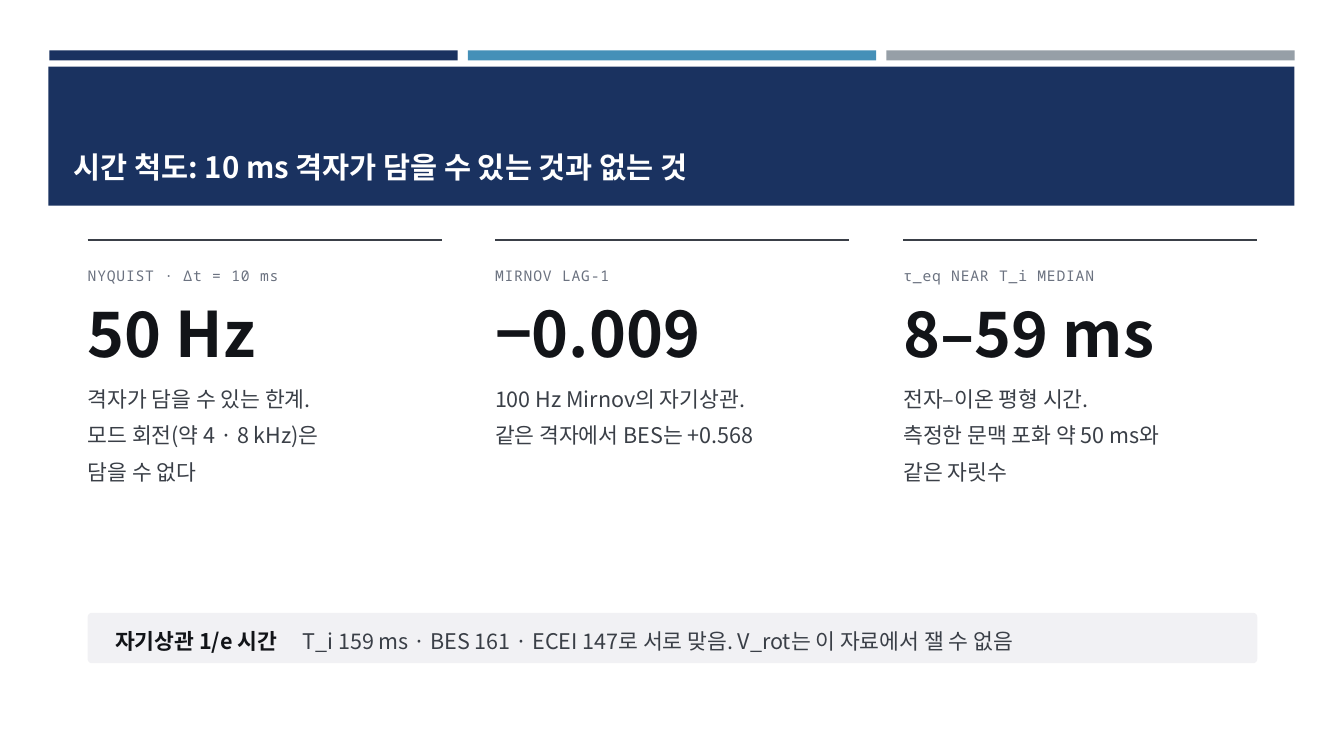
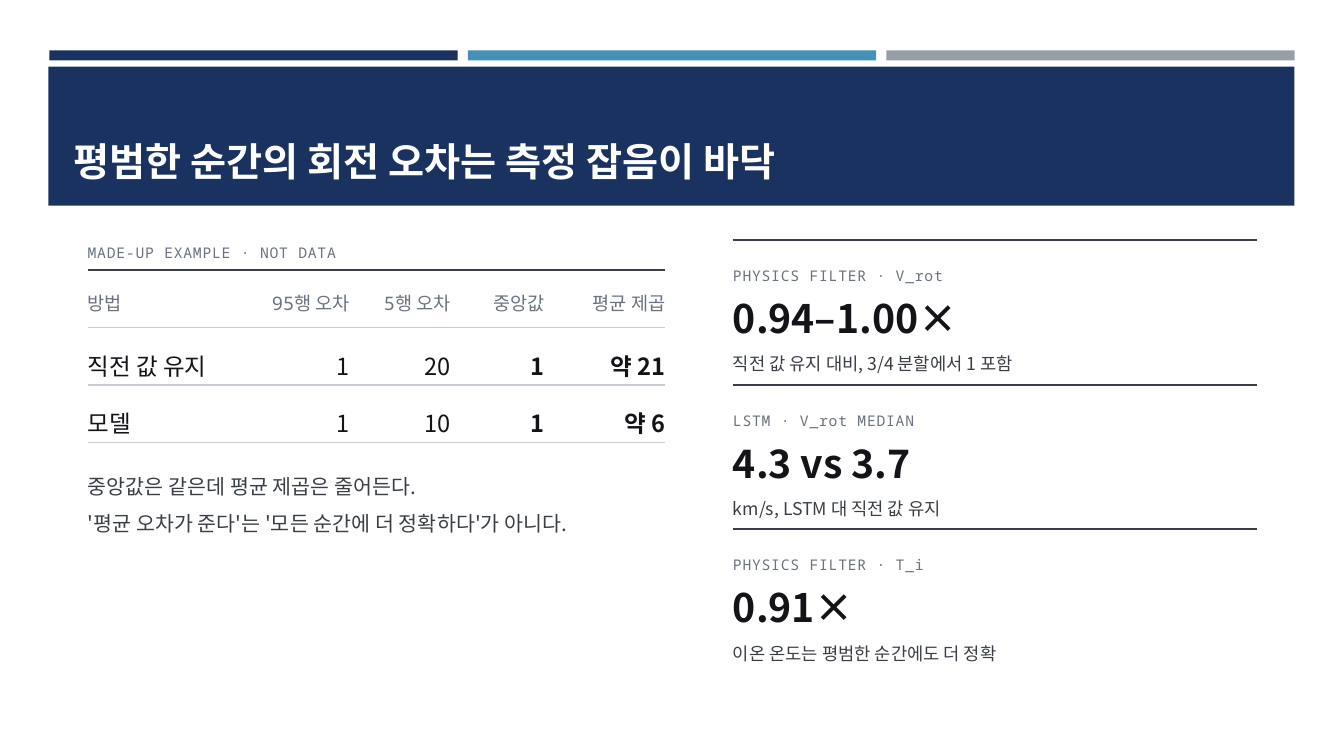
from dataclasses import dataclass
from typing import Any

import pptx
import pptx.dml.color
import pptx.enum.shapes
import pptx.enum.text
import pptx.oxml
import pptx.oxml.ns
import pptx.util
from lxml import etree

PX = 9144  # EMU per px: 100 px to the inch
SANS, MONO = "Noto Sans CJK KR", "Noto Sans Mono"
NAVY, BLUE, GREY, WHITE = "1A3260", "4590B8", "969FA7", "FFFFFF"
INK, BODY, MUTED, RULE, PANEL = "121418", "3A3F47", "6B7280", "C9CDD3", "F1F1F4"
LEFT, CONTENT_WIDTH, CONTENT_TOP = 87, 1160, 238

SHAPES = pptx.enum.shapes.MSO_SHAPE
ANCHOR = pptx.enum.text.MSO_ANCHOR
ALIGN = pptx.enum.text.PP_ALIGN


@dataclass(frozen=True)
class TextStyle:
    size: float
    color: str
    face: str = SANS
    bold: bool = False
    line_spacing: float | None = None
    tracking: int = 0


@dataclass(frozen=True)
class Box:
    left: int
    top: int
    width: int
    height: int

    def emu(self) -> list[int]:
        return [value * PX for value in (self.left, self.top, self.width, self.height)]


@dataclass(frozen=True)
class Stat:
    label: str
    figure: str
    lines: tuple[str, ...]


LABEL = TextStyle(10.5, MUTED, MONO, line_spacing=1.25, tracking=60)
HEADER = TextStyle(13.3, MUTED, MONO, line_spacing=1.25)
CELL = TextStyle(16.8, INK, line_spacing=1.25)
CELL_BOLD = TextStyle(16.8, INK, bold=True, line_spacing=1.25)
NOTE = TextStyle(14.7, BODY, line_spacing=1.5)
STRIP_HEAD = TextStyle(15.4, INK, bold=True, line_spacing=1.25)
STRIP_BODY = TextStyle(15.4, BODY, line_spacing=1.25)

TIME_STATS = (
    Stat("NYQUIST · Δt = 10 ms", "50 Hz",
         ("격자가 담을 수 있는 한계.", "모드 회전(약 4 · 8 kHz)은", "담을 수 없다")),
    Stat("MIRNOV LAG-1", "−0.009",
         ("100 Hz Mirnov의 자기상관.", "같은 격자에서 BES는 +0.568")),
    Stat("τ_eq NEAR T_i MEDIAN", "8–59 ms",
         ("전자–이온 평형 시간.", "측정한 문맥 포화 약 50 ms와", "같은 자릿수")),
)
ERROR_STATS = (
    Stat("PHYSICS FILTER · V_rot", "0.94–1.00×", ("직전 값 유지 대비, 3/4 분할에서 1 포함",)),
    Stat("LSTM · V_rot MEDIAN", "4.3 vs 3.7", ("km/s, LSTM 대 직전 값 유지",)),
    Stat("PHYSICS FILTER · T_i", "0.91×", ("이온 온도는 평범한 순간에도 더 정확",)),
)
COLUMN_WIDTHS = (160, 100, 100, 93, 120)
TABLE_ROWS = (
    ("방법", "95행 오차", "5행 오차", "중앙값", "평균 제곱"),
    ("직전 값 유지", "1", "20", "1", "약 21"),
    ("모델", "1", "10", "1", "약 6"),
)


# Formatting helpers
def rgb(color: str) -> pptx.dml.color.RGBColor:
    return pptx.dml.color.RGBColor.from_string(color)


def apply(target: Any, values: dict[str, Any]) -> None:
    for name, value in values.items():
        setattr(target, name, value)


def add_run(paragraph: Any, text: str, style: TextStyle) -> None:
    run = paragraph.add_run()
    run.text = text
    apply(run.font, {"size": pptx.util.Pt(style.size), "bold": style.bold, "name": style.face})
    run.font.color.rgb = rgb(style.color)
    properties = run.font._element
    if style.tracking:
        properties.set("spc", str(style.tracking))
    east_asian = etree.Element(pptx.oxml.ns.qn("a:ea"), typeface=SANS)
    properties.find(pptx.oxml.ns.qn("a:latin")).addnext(east_asian)
    if style.line_spacing:
        paragraph.line_spacing = style.line_spacing


def clear_margins(target: Any) -> None:
    apply(target, dict.fromkeys(("margin_left", "margin_top", "margin_right", "margin_bottom"), 0))


# Drawing helpers
def add_text(slide: Any, box: Box, lines: tuple[str, ...], style: TextStyle) -> None:
    frame = slide.shapes.add_textbox(*box.emu()).text_frame
    clear_margins(frame)
    frame.word_wrap = True
    for index, line in enumerate(lines):
        paragraph = frame.add_paragraph() if index else frame.paragraphs[0]
        add_run(paragraph, line, style)


def add_panel(slide: Any, kind: Any, box: Box, color: str) -> Any:
    shape = slide.shapes.add_shape(kind, *box.emu())
    shape.shadow.inherit = False
    shape.fill.solid()
    shape.fill.fore_color.rgb = rgb(color)
    shape.line.fill.background()
    return shape


def add_rule(slide: Any, left: int, top: int, width: int) -> None:
    rule = slide.shapes.add_connector(
        pptx.enum.shapes.MSO_CONNECTOR.STRAIGHT,
        left * PX, top * PX, (left + width) * PX, top * PX)
    rule.line.color.rgb = rgb(BODY)
    rule.line.width = pptx.util.Pt(1.25)
    etree.SubElement(rule._element.spPr, pptx.oxml.ns.qn("a:effectLst"))


def add_stat(slide: Any, stat: Stat, left: int, top: int, width: int,
             figure_size: float, text_size: float, text_offset: int) -> None:
    add_rule(slide, left, top, width)
    add_text(slide, Box(left, top + 22, width, 23), (stat.label,), LABEL)
    add_text(slide, Box(left, top + 54, width, 87), (stat.figure,),
             TextStyle(figure_size, INK, bold=True))
    add_text(slide, Box(left, top + text_offset, width, 120), stat.lines,
             TextStyle(text_size, BODY, line_spacing=1.4))


def set_borders(cell: Any, top: str, bottom: str) -> None:
    cell.fill.background()
    edges = (("lnL", None), ("lnR", None), ("lnT", top), ("lnB", bottom))
    for position, (edge, color) in enumerate(edges):
        width = pptx.util.Pt(1.25 if color == BODY else 1)
        fill = (f'<a:solidFill><a:srgbClr val="{color}"/></a:solidFill>'
                if color else "<a:noFill/>")
        border = pptx.oxml.parse_xml(
            f'<a:{edge} {pptx.oxml.ns.nsdecls("a")} w="{int(width)}">{fill}</a:{edge}>')
        cell._tc.get_or_add_tcPr().insert(position, border)


def add_error_table(slide: Any, left: int, top: int) -> None:
    row_height = 57
    box = Box(left, top, sum(COLUMN_WIDTHS), row_height * len(TABLE_ROWS))
    table = slide.shapes.add_table(len(TABLE_ROWS), len(COLUMN_WIDTHS), *box.emu()).table
    apply(table, {"first_row": False, "horz_banding": False})
    for column, width in zip(table.columns, COLUMN_WIDTHS):
        column.width = width * PX
    for row_index, values in enumerate(TABLE_ROWS):
        for column_index, value in enumerate(values):
            cell = table.cell(row_index, column_index)
            clear_margins(cell)
            apply(cell, {"margin_top": 12 * PX, "vertical_anchor": ANCHOR.TOP})
            set_borders(cell, RULE if row_index else BODY, RULE)
            paragraph = cell.text_frame.paragraphs[0]
            paragraph.alignment = ALIGN.RIGHT if column_index else ALIGN.LEFT
            body_style = CELL_BOLD if column_index > 2 else CELL
            add_run(paragraph, value, body_style if row_index else HEADER)


# Shared frame: three bars, the title band and the title
def add_framed_slide(presentation: Any, title: str, title_size: float) -> Any:
    slide = presentation.slides.add_slide(presentation.slide_layouts[5])
    for index, color in enumerate((NAVY, BLUE, GREY)):
        add_panel(slide, SHAPES.RECTANGLE, Box(49 + 415 * index, 50, 405, 10), color)
    add_panel(slide, SHAPES.RECTANGLE, Box(48, 66, 1236, 138), NAVY)

    placeholder = slide.shapes.title
    slide.shapes.element.append(placeholder.element)  # bring in front of the band
    apply(placeholder, dict(zip(("left", "top", "width", "height"), Box(63, 80, 1206, 108).emu())))
    apply(placeholder.text_frame, {"vertical_anchor": ANCHOR.BOTTOM, "word_wrap": True,
                                   "auto_size": pptx.enum.text.MSO_AUTO_SIZE.NONE})
    paragraph = placeholder.text_frame.paragraphs[0]
    paragraph.alignment = ALIGN.LEFT
    add_run(paragraph, title, TextStyle(title_size, WHITE, bold=True))
    return slide


# Slide 1: time scales
def build_time_scales(presentation: Any) -> None:
    slide = add_framed_slide(presentation, "시간 척도: 10 ms 격자가 담을 수 있는 것과 없는 것", 21)
    width = 351
    for index, stat in enumerate(TIME_STATS):
        left = LEFT + round((CONTENT_WIDTH - width) * index / 2)
        add_stat(slide, stat, left, CONTENT_TOP, width, 44.8, 15.4, 135)

    strip = add_panel(slide, SHAPES.ROUNDED_RECTANGLE, Box(LEFT, 608, CONTENT_WIDTH, 50), PANEL)
    strip.adjustments[0] = 0.08
    frame = strip.text_frame
    clear_margins(frame)
    apply(frame, {"margin_left": 26 * PX, "margin_right": 26 * PX,
                  "vertical_anchor": ANCHOR.MIDDLE, "word_wrap": True})
    paragraph = frame.paragraphs[0]
    tabs = etree.SubElement(paragraph._p.get_or_add_pPr(), pptx.oxml.ns.qn("a:tabLst"))
    etree.SubElement(tabs, pptx.oxml.ns.qn("a:tab"), pos=str(186 * PX), algn="l")
    paragraph.alignment = ALIGN.LEFT
    add_run(paragraph, "자기상관 1/e 시간\t", STRIP_HEAD)
    add_run(paragraph, "T_i 159 ms · BES 161 · ECEI 147로 서로 맞음. V_rot는 이 자료에서 잴 수 없음",
            STRIP_BODY)


# Slide 2: rotation error
def build_rotation_error(presentation: Any) -> None:
    slide = add_framed_slide(presentation, "평범한 순간의 회전 오차는 측정 잡음이 바닥", 28)
    table_width = sum(COLUMN_WIDTHS)
    add_text(slide, Box(LEFT, CONTENT_TOP, table_width, 23), ("MADE-UP EXAMPLE · NOT DATA",), LABEL)
    add_error_table(slide, LEFT, 268)
    add_text(slide, Box(LEFT, 458, table_width, 107),
             ("중앙값은 같은데 평균 제곱은 줄어든다.",
              "'평균 오차가 준다'는 '모든 순간에 더 정확하다'가 아니다."), NOTE)
    for index, stat in enumerate(ERROR_STATS):
        add_stat(slide, stat, 727, CONTENT_TOP + round(143.5 * index), 520, 28, 12.6, 104)


def main() -> None:
    presentation = pptx.Presentation()
    apply(presentation, {"slide_width": pptx.util.Inches(13.33),
                         "slide_height": pptx.util.Inches(7.5)})
    build_time_scales(presentation)
    build_rotation_error(presentation)
    presentation.save("out.pptx")


if __name__ == "__main__":
    main()
